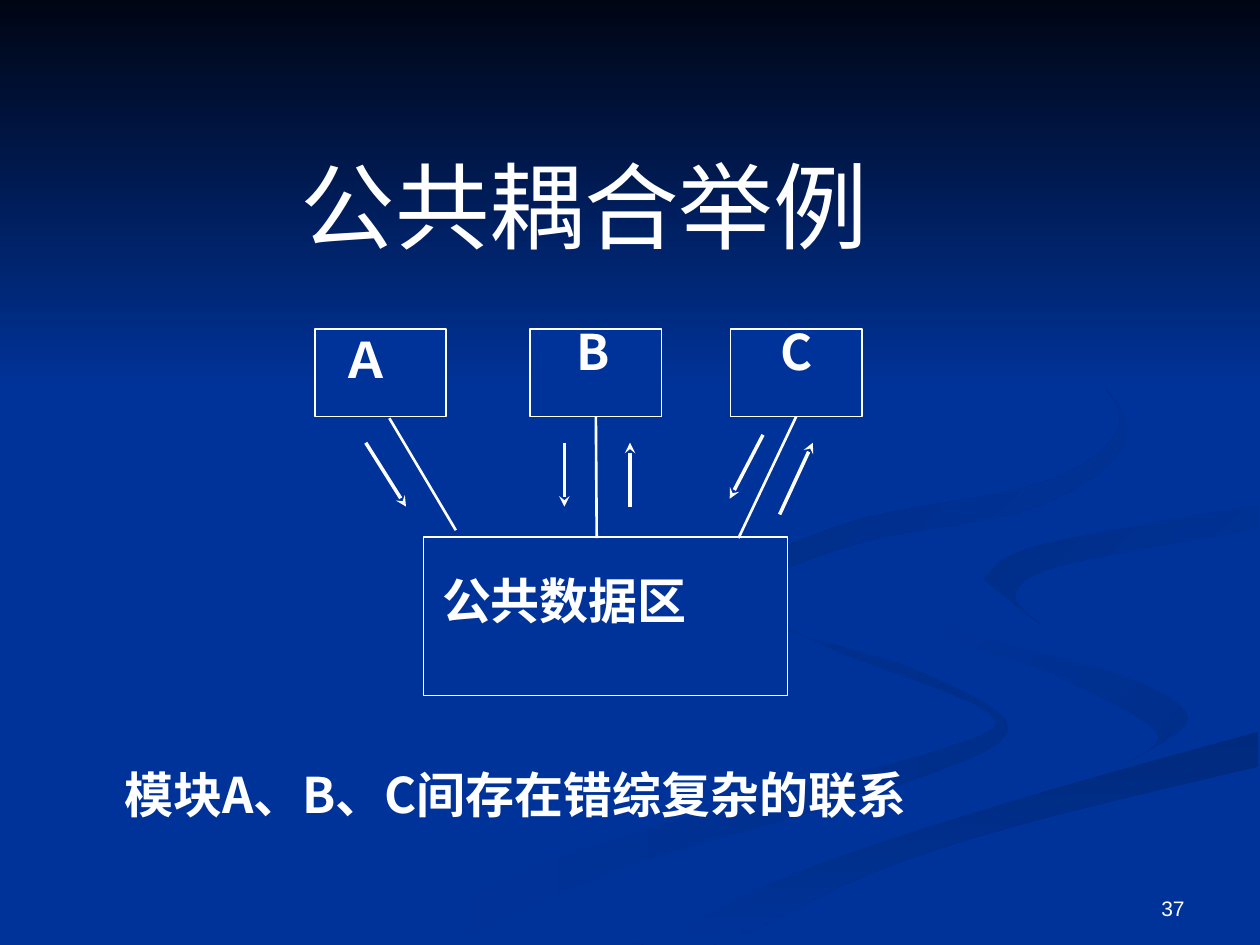
from dataclasses import dataclass
from typing import NamedTuple, Optional

import pptx
import pptx.dml.color
import pptx.enum.shapes
import pptx.enum.text
import pptx.oxml.ns
import pptx.util

Pt = pptx.util.Pt
qn = pptx.oxml.ns.qn
ALIGN = pptx.enum.text.PP_ALIGN
ANCHOR = pptx.enum.text.MSO_ANCHOR
RECT = pptx.enum.shapes.MSO_SHAPE.RECTANGLE


@dataclass(frozen=True)
class Theme:
    blue: str = "003399"
    night: str = "000514"
    white: str = "FFFFFF"
    cjk: str = "Noto Sans CJK SC"
    latin: str = "Arial"
    title: float = 54
    body: float = 28
    number: float = 12
    box_line: float = 1
    link_line: float = 1.5
    arrow_line: float = 2


THEME = Theme()
WIDTH, HEIGHT = 720, 540


class Gradient(NamedTuple):
    start: str
    end: str
    angle: float  # clockwise degrees


class Ribbon(NamedTuple):
    edges: list  # each edge is a smooth curve; edges meet at corners
    fill: Gradient


class Box(NamedTuple):
    left: float
    top: float
    width: float
    height: float


class Label(NamedTuple):
    text: str
    box: Box
    size: float = THEME.body
    bold: bool = True
    font: str = THEME.cjk
    align: ALIGN = ALIGN.LEFT
    anchor: ANCHOR = ANCHOR.TOP
    wrap: bool = False


class Line(NamedTuple):
    start: tuple
    end: tuple
    arrow: bool = True
    source: Optional[str] = None  # box whose bottom centre the line leaves


# Edges shared by neighbouring ribbons
BEND = [(521, 334), (546, 359), (639, 385), (679, 410), (644, 436)]
SWEEP = [(374, 538), (454, 499), (574, 459), (719, 418)]
HOOK = [(562, 331), (592, 312), (719, 289)]

RIBBONS = [
    Ribbon([[(414, 330), (442, 357), (526, 384), (576, 418), (503, 452), (359, 495), (260, 539)],
            [(216, 539), (300, 497), (417, 460), (539, 428), (565, 407), (471, 369), (414, 338)]],
           Gradient(THEME.blue, "002E8B", 0)),
    Ribbon([BEND, [(644, 436), (661, 418), (603, 386), (544, 364), (521, 334)]],
           Gradient(THEME.blue, "002E8B", 45)),
    Ribbon([SWEEP, [(719, 438), (591, 469), (500, 498), (411, 539), (362, 539)]],
           Gradient("002A7D", THEME.blue, 90)),
    Ribbon([BEND + [(477, 481), (343, 539)], SWEEP, [(719, 387), (611, 362), (562, 331)], HOOK,
            [(719, 279), (582, 300), (521, 334)]],
           Gradient(THEME.blue, THEME.blue, 0)),
    Ribbon([HOOK, [(719, 302), (607, 323), (580, 340), (595, 357), (562, 331)]],
           Gradient("002D86", THEME.blue, 45)),
    Ribbon([[(549, 168), (607, 198), (644, 248), (594, 289), (492, 310), (428, 337), (448, 360)],
            [(448, 360), (415, 333), (487, 298), (598, 275), (640, 241), (609, 201), (549, 168)]],
           Gradient("002B82", THEME.blue, 45)),
]
SKY = Box(0, 0, WIDTH, 222)

BOXES = {name: Box(left, 188, 75, 50) for name, left in (("A", 180), ("B", 303), ("C", 417.5))}
BOXES["data"] = Box(242, 307, 208, 90.5)
ROW = 41  # height of one line of body text

LABELS = [
    Label("37", Box(516, 492, 168, 37.5), THEME.number, False, THEME.latin,
          ALIGN.RIGHT, ANCHOR.BOTTOM, True),
    Label("公共耦合举例", Box(139, 83, 390, 67.5), THEME.title, False, THEME.cjk,
          ALIGN.CENTER, ANCHOR.MIDDLE, True),
    Label("Ａ", Box(188, 184.5, 42.5, ROW)),
    Label("B", Box(322.5, 180, 33, ROW)),
    Label("C", Box(439, 180, 32.5, ROW)),
    Label("公共数据区", Box(245.5, 322.5, 214.5, ROW), wrap=True),
    Label("模块A、B、C间存在错综复杂的联系", Box(64, 433.5, 502, ROW)),
]

LINES = [
    Line((222.5, 239), (260.5, 303), False),
    Line((341, 238), (341, 307.5), False, "B"),
    Line((455, 238), (422, 307.5), False, "C"),
    Line((209, 253), (232, 289.5)),
    Line((322.5, 253), (322.5, 289.5)),
    Line((360, 289.5), (360, 253)),
    Line((436, 248.5), (417, 285)),
    Line((445.5, 294), (464.5, 253)),
]


def rgb(value: str) -> pptx.dml.color.RGBColor:
    return pptx.dml.color.RGBColor.from_string(value)


def emu(values) -> list:
    return [Pt(v) for v in values]


def smooth(edge: list, steps: int = 6) -> list:
    """Points of the Catmull-Rom curve through the edge."""
    padded = [edge[0], *edge, edge[-1]]
    curve = []
    for quad in zip(padded, padded[1:], padded[2:], padded[3:]):
        for t in (i / steps for i in range(steps)):
            curve.append(tuple(
                b + t * (c - a) / 2 + t * t * (2 * a - 5 * b + 4 * c - d) / 2
                + t ** 3 * (3 * b - a - 3 * c + d) / 2
                for a, b, c, d in zip(*quad)))
    return curve + [edge[-1]]


def paint_gradient(s, gradient: Gradient) -> None:
    s.shadow.inherit = False
    s.line.fill.background()
    s.fill.gradient()
    s.fill.gradient_angle = -gradient.angle % 360
    for stop, color, position in zip(s.fill.gradient_stops, gradient[:2], (0, 1)):
        stop.color.rgb = rgb(color)
        stop.position = position


def draw_ribbon(shapes, ribbon: Ribbon) -> None:
    outline = [emu(point) for edge in ribbon.edges for point in smooth(edge)]
    builder = shapes.build_freeform(*outline[0])
    builder.add_line_segments(outline[1:], close=True)
    paint_gradient(builder.convert_to_shape(), ribbon.fill)


def draw_box(shapes, box: Box):
    s = shapes.add_shape(RECT, *emu(box))
    s.shadow.inherit = False
    s.fill.solid()
    s.fill.fore_color.rgb = rgb(THEME.blue)
    s.line.color.rgb = rgb(THEME.white)
    s.line.width = Pt(THEME.box_line)
    return s


def draw_label(shapes, label: Label) -> None:
    tf = shapes.add_textbox(*emu(label.box)).text_frame
    tf.word_wrap = label.wrap
    tf.vertical_anchor = label.anchor
    p = tf.paragraphs[0]
    p.alignment = label.align
    r = p.add_run()
    r.text = label.text
    for name, value in {"size": Pt(label.size), "bold": label.bold, "name": label.font}.items():
        setattr(r.font, name, value)
    r.font.color.rgb = rgb(THEME.white)
    r_pr = r.font._element
    r_pr.append(r_pr.makeelement(qn("a:ea"), {"typeface": label.font}))


def draw_line(shapes, line: Line, boxes: dict) -> None:
    s = shapes.add_connector(pptx.enum.shapes.MSO_CONNECTOR.STRAIGHT,
                             *emu(line.start + line.end))
    if line.source:
        s.begin_connect(boxes[line.source], 2)
    s.line.color.rgb = rgb(THEME.white)
    s.line.width = Pt(THEME.arrow_line if line.arrow else THEME.link_line)
    if line.arrow:
        ln = s.line._get_or_add_ln()
        ln.append(ln.makeelement(qn("a:tailEnd"), {"type": "stealth"}))
    sp_pr = s._element.spPr
    sp_pr.append(sp_pr.makeelement(qn("a:effectLst"), {}))


def main() -> None:
    prs = pptx.Presentation()
    prs.slide_width, prs.slide_height = emu((WIDTH, HEIGHT))
    slide = prs.slides.add_slide(prs.slide_layouts[6])
    slide.background.fill.solid()
    slide.background.fill.fore_color.rgb = rgb(THEME.blue)
    shapes = slide.shapes
    for ribbon in RIBBONS:
        draw_ribbon(shapes, ribbon)
    paint_gradient(shapes.add_shape(RECT, *emu(SKY)), Gradient(THEME.night, THEME.blue, 90))
    boxes = {name: draw_box(shapes, box) for name, box in BOXES.items()}
    for label in LABELS:
        draw_label(shapes, label)
    for line in LINES:
        draw_line(shapes, line, boxes)
    prs.save("out.pptx")


if __name__ == "__main__":
    main()
